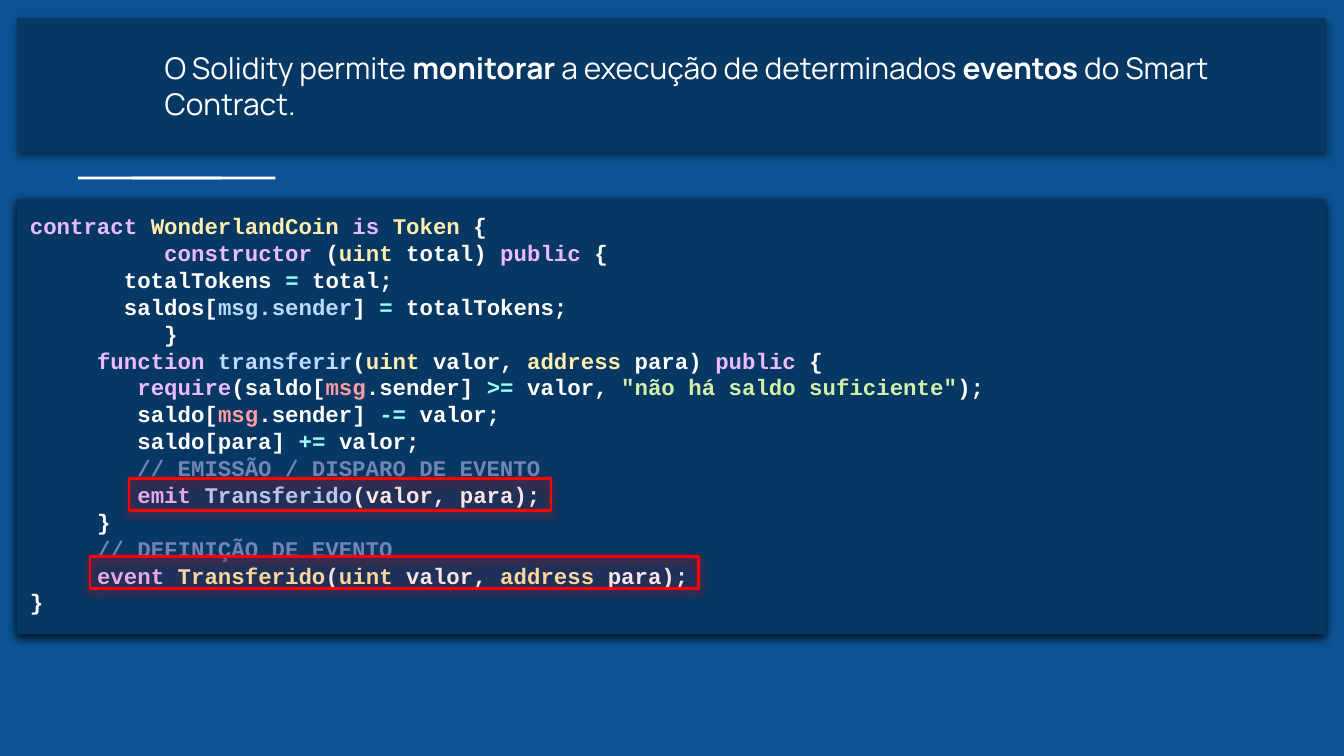
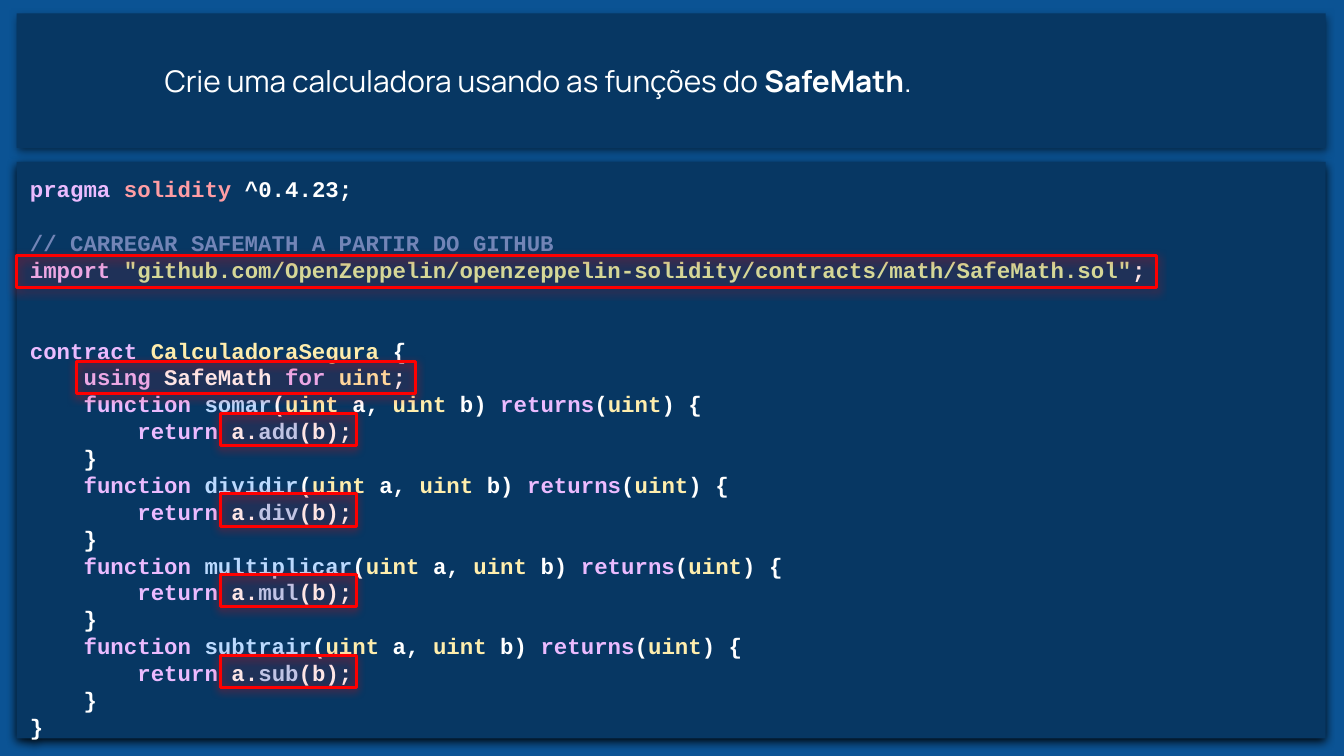
"""Build two slides that explain Solidity code with panels and red marks."""
from dataclasses import dataclass, field

from lxml.etree import SubElement as Sub
from pptx import Presentation
from pptx.dml.color import RGBColor as Rgb
from pptx.enum.shapes import MSO_SHAPE as Kind
from pptx.enum.text import MSO_ANCHOR as Anchor, MSO_AUTO_SIZE as Fit, PP_ALIGN as Align
from pptx.oxml.ns import qn
from pptx.util import Inches, Pt


@dataclass(frozen=True)
class Theme:
    back: str = "0B5394"
    panel: str = "073763"
    mark: str = "FF0000"
    white: str = "FFFFFF"
    black: str = "000000"
    sans: str = "Manrope"
    mono: str = "Courier New"
    head: int = 16
    code: int = 12
    lead: float = 1.2
    edge: float = 1.5
    tint: int = 7
    soft: tuple = (50, 4.5, 1.5)
    deep: tuple = (95, 5.6, 2.2)
    ink: dict = field(default_factory=lambda: {
        "w": "FFFFFF", "k": "EBBBFF", "t": "FFEEAD", "f": "BBDAFF",
        "o": "99FFFF", "v": "FF9DA4", "s": "D1F1A9", "c": "7285B7",
        "b": "FFFFFF",
    })


THEME = Theme()
CELL = Inches(0.1)
LEFT, WIDE = 1.24, 97.4

TOKEN = [
    (0, "~kcontract ~tWonderlandCoin ~kis~t Token~w {"),
    (0, "~w          ~kconstructor ~w(~tuint ~wtotal) ~kpublic~w {"),
    (0, "~w       totalTokens ~o= ~wtotal;"),
    (0, "~w       saldos[~fmsg.sender~w] ~o=~w totalTokens;"),
    (0, "~w          }"),
    (5, "~kfunction~f transferir~w(~tuint~w valor, ~taddress~w para) ~kpublic~w {"),
    (5, "~w   ~krequire~w(saldo[~vmsg~w.sender] ~o>=~w valor, "
        "~s\"não há saldo suficiente\"~w);"),
    (5, "~w   saldo[~vmsg~w.sender] ~o-=~w valor;"),
    (5, "~w   saldo[para] ~o+=~w valor;"),
    (5, "~w   ~c// EMISSÃO / DISPARO DE EVENTO"),
    (5, "~w   ~kemit ~fTransferido~w(valor, para);"),
    (5, "~w}"),
    (5, "~c// DEFINIÇÃO DE EVENTO"),
    (5, "~kevent~t Transferido~w(~tuint~w valor, ~taddress~w para);"),
    (0, "~w}"),
]
CALC = [
    "~kpragma ~vsolidity~w ^0.4.23;",
    "~c// CARREGAR SAFEMATH A PARTIR DO GITHUB",
    "~kimport ~s\"github.com/OpenZeppelin/openzeppelin-solidity/contracts/math/"
    "SafeMath.sol\"~w;",
    "~kcontract ~tCalculadoraSegura~w {",
    "~w    ~kusing~w SafeMath ~kfor ~tuint~w;",
]
MATH = [("somar", "add"), ("dividir", "div"), ("multiplicar", "mul"), ("subtrair", "sub")]


def place(shape, box):
    """Move a shape to left, top, width and height in grid cells."""
    shape.left, shape.top, shape.width, shape.height = (round(n * CELL) for n in box)


def paint(shape, fill, glow=None, alpha=None, line=None):
    """Set fill, outline and shadow."""
    shape.fill.solid()
    shape.fill.fore_color.rgb = Rgb.from_string(fill)
    props = shape._element.spPr
    if alpha:
        tone = props.find(qn("a:solidFill"))[0]
        Sub(tone, qn("a:alpha"), val=str(alpha * 1000))
    if line:
        shape.line.color.rgb = Rgb.from_string(line)
        shape.line.width = Pt(THEME.edge)
    else:
        shape.line.fill.background()
    effects = Sub(props, qn("a:effectLst"))
    if glow:
        dark, blur, dist = glow
        cast = Sub(effects, qn("a:outerShdw"), blurRad=str(Pt(blur)), dist=str(Pt(dist)),
                   dir="5400000", algn="bl", rotWithShape="0")
        tone = Sub(cast, qn("a:srgbClr"), val=line or THEME.black)
        Sub(tone, qn("a:alpha"), val=str(dark * 1000))


def rect(slide, box, *args, **opts):
    """Add one painted rectangle."""
    shape = slide.shapes.add_shape(Kind.RECTANGLE, 0, 0, CELL, CELL)
    place(shape, box)
    paint(shape, *args, **opts)
    return shape


def frame(shape, anchor):
    """Prepare a text frame with even insets."""
    text = shape.text_frame
    text.word_wrap, text.auto_size = True, Fit.NONE
    text.vertical_anchor = anchor
    text.margin_left = text.margin_right = text.margin_top = text.margin_bottom = CELL
    return text


def write(para, marks, face, size, dent=0, gap=0):
    """Add the runs of one line, each led by its ink key."""
    para.alignment = Align.LEFT
    para.line_spacing = Pt(size * THEME.lead)
    para.space_before = Pt(gap * size * THEME.lead)
    props = para._p.get_or_add_pPr()
    props.set("marL", str(dent * CELL))
    props.set("indent", "0")
    for part in marks.split("~")[1:]:
        run = para.add_run()
        run.text = part[1:]
        font = run.font
        font.name, font.size = face, Pt(size)
        font.bold = face == THEME.mono or part[0] == "b"
        font.color.rgb = Rgb.from_string(THEME.ink[part[0]])


def title(slide, top, marks):
    """Fill the title band."""
    shape = slide.shapes.title
    place(shape, (LEFT, top, WIDE, 10))
    paint(shape, THEME.panel, THEME.soft)
    write(frame(shape, Anchor.MIDDLE).paragraphs[0], marks, THEME.sans, THEME.head, dent=10)


def code(slide, top, high, lines, gaps):
    """Add the code panel, with gaps in lines before some rows."""
    shape = rect(slide, (LEFT, top, WIDE, high), THEME.panel, THEME.deep)
    text = frame(shape, Anchor.TOP)
    for row, (dent, marks) in enumerate(lines):
        para = text.add_paragraph() if row else text.paragraphs[0]
        write(para, marks, THEME.mono, THEME.code, dent, gaps.get(row, 0))


def mark(slide, left, top, wide):
    """Frame one piece of code in red."""
    rect(slide, (left, top, wide, 2.4), THEME.mark, THEME.soft, THEME.tint, THEME.mark)


def method(name, call):
    """Return the three lines of one calculator function."""
    return [
        f"~w    ~kfunction~f {name}~w(~tuint~w a, ~tuint~w b) ~kreturns~w(~tuint~w) {{",
        f"~w        ~kreturn~w a.~f{call}~w(b);",
        "~w    }",
    ]


def event(slide):
    """Build the slide on events."""
    for left in (5.8, 9.8):
        rect(slide, (left, 13.15, 10.7, 0.2), THEME.white)
    code(slide, 14.8, 32.4, TOKEN, {})
    title(slide, 1.35, "~wO Solidity permite ~bmonitorar~w a execução de determinados "
                       "~beventos~w do Smart Contract.")
    mark(slide, 6.7, 41.4, 45.3)
    mark(slide, 9.6, 35.6, 31.4)


def safe(slide):
    """Build the slide on the calculator."""
    lines = CALC + [line for pair in MATH for line in method(*pair)] + ["~w}"]
    code(slide, 12.05, 42.9, [(0, line) for line in lines], {1: 1, 3: 2})
    title(slide, 1, "~wCrie uma calculadora usando as funções do ~bSafeMath~w.")
    mark(slide, LEFT, 19, 84.8)
    mark(slide, 5.7, 26.9, 25.2)
    for row in range(len(MATH)):
        mark(slide, 16.4, 30.75 + 6 * row, 10.1)


def main():
    """Build and save the deck."""
    deck = Presentation()
    deck.slide_width = Inches(10)
    deck.slide_height = deck.slide_width * 9 // 16
    fill = deck.slide_master.background.fill
    fill.solid()
    fill.fore_color.rgb = Rgb.from_string(THEME.back)
    for build in (event, safe):
        build(deck.slides.add_slide(deck.slide_layouts[5]))
    deck.save("out.pptx")


if __name__ == "__main__":
    main()
